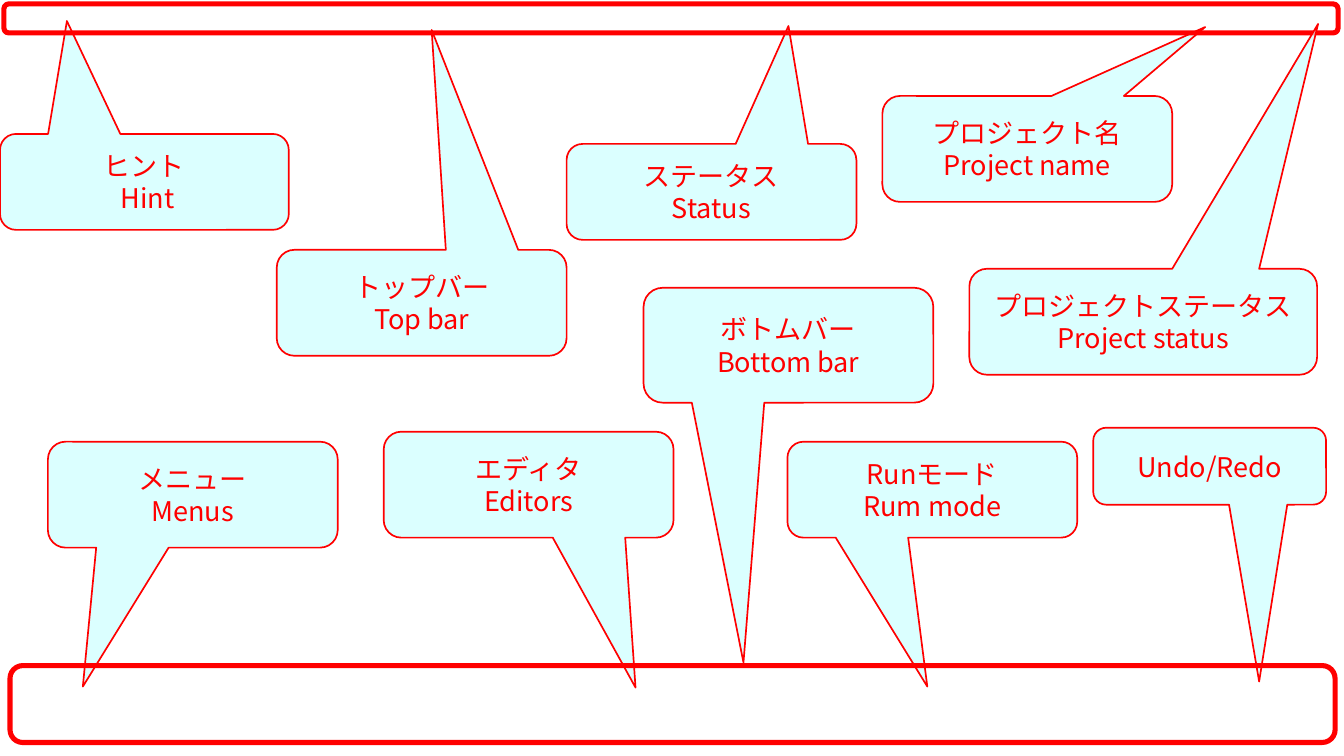
from dataclasses import dataclass

import pptx
import pptx.dml.color
import pptx.enum.shapes
import pptx.enum.text
import pptx.oxml.ns
import pptx.util
from lxml import etree

EMU_PER_PX = 7495
SLIDE_WIDTH = pptx.util.Cm(28)
SLIDE_HEIGHT = pptx.util.Cm(15.75)
SHAPES = pptx.enum.shapes.MSO_SHAPE


@dataclass(frozen=True)
class Theme:
    accent = pptx.dml.color.RGBColor(0xFF, 0x00, 0x00)
    balloon = pptx.dml.color.RGBColor(0xCC, 0xFF, 0xFF)
    balloon_opacity = 70
    font_name = "Noto Sans CJK JP"
    text_size = pptx.util.Pt(16)
    balloon_line = pptx.util.Pt(1)
    bar_line = pptx.util.Pt(3)


THEME = Theme()

TOP_BAR = (4, 4, 1335, 29)
BOTTOM_BAR = (10, 666, 1326, 77)

# Label, box (left, top, width, height), tip of the pointer.
# "\n" starts a paragraph, "\v" breaks a line.
CALLOUTS = [
    ("プロジェクト名\nProject name", (883, 96, 290, 106), (1206, 27)),
    ("ステータス\nStatus", (567, 144, 290, 96), (789, 26)),
    ("ヒント\n Hint", (0, 134, 289, 96), (67, 21)),
    ("メニュー\nMenus", (48, 442, 290, 106), (83, 687)),
    ("エディタ\vEditors", (384, 432, 290, 106), (636, 688)),
    ("Runモード\vRum mode", (788, 442, 290, 96), (928, 687)),
    ("Undo/Redo", (1094, 428, 233, 77), (1260, 682)),
    ("トップバー\nTop bar", (277, 250, 290, 106), (432, 30)),
    ("ボトムバー\nBottom bar", (644, 288, 290, 115), (744, 663)),
]
PROJECT_STATUS = ("プロジェクトステータス\nProject status",
                  (970, 269, 348, 106), (1319, 24))


def px(length):
    return pptx.util.Emu(length * EMU_PER_PX)


def add_outlined_shape(slide, kind, box, line_width):
    shape = slide.shapes.add_shape(kind, *map(px, box))
    shape.shadow.inherit = False
    shape.line.color.rgb = THEME.accent
    shape.line.width = line_width
    return shape


def add_bar(slide, box):
    bar = add_outlined_shape(slide, SHAPES.ROUNDED_RECTANGLE, box, THEME.bar_line)
    bar.fill.background()


def fill_translucent(shape, color, opacity):
    shape.fill.solid()
    shape.fill.fore_color.rgb = color
    color_element = shape.fill._xPr.find(".//" + pptx.oxml.ns.qn("a:srgbClr"))
    alpha = etree.SubElement(color_element, pptx.oxml.ns.qn("a:alpha"))
    alpha.set("val", str(opacity * 1000))


def style_paragraph(paragraph):
    paragraph.alignment = pptx.enum.text.PP_ALIGN.CENTER
    font = paragraph.font
    font.size = THEME.text_size
    font.color.rgb = THEME.accent
    font.name = THEME.font_name
    properties = paragraph._p.find(".//" + pptx.oxml.ns.qn("a:defRPr"))
    east_asian = etree.SubElement(properties, pptx.oxml.ns.qn("a:ea"))
    east_asian.set("typeface", THEME.font_name)


def write_label(shape, label):
    frame = shape.text_frame
    frame.word_wrap = False
    frame.vertical_anchor = pptx.enum.text.MSO_ANCHOR.MIDDLE
    frame.margin_left = frame.margin_right = px(13)
    frame.margin_top = frame.margin_bottom = px(7)
    frame.text = label
    for paragraph in frame.paragraphs:
        style_paragraph(paragraph)


def add_callout(slide, label, box, tip):
    """Draw a balloon in box whose pointer ends at tip."""
    left, top, width, height = box
    tip_x, tip_y = tip
    callout = add_outlined_shape(
        slide, SHAPES.ROUNDED_RECTANGULAR_CALLOUT, box, THEME.balloon_line)
    callout.adjustments[0] = (tip_x - left) / width - 0.5
    callout.adjustments[1] = (tip_y - top) / height - 0.5
    fill_translucent(callout, THEME.balloon, THEME.balloon_opacity)
    write_label(callout, label)


def add_screen_guide(slide):
    for callout in CALLOUTS:
        add_callout(slide, *callout)
    for bar in (TOP_BAR, BOTTOM_BAR):
        add_bar(slide, bar)
    add_callout(slide, *PROJECT_STATUS)


def main():
    presentation = pptx.Presentation()
    presentation.slide_width = SLIDE_WIDTH
    presentation.slide_height = SLIDE_HEIGHT
    slide = presentation.slides.add_slide(presentation.slide_layouts[6])
    add_screen_guide(slide)
    presentation.save("out.pptx")


if __name__ == "__main__":
    main()
